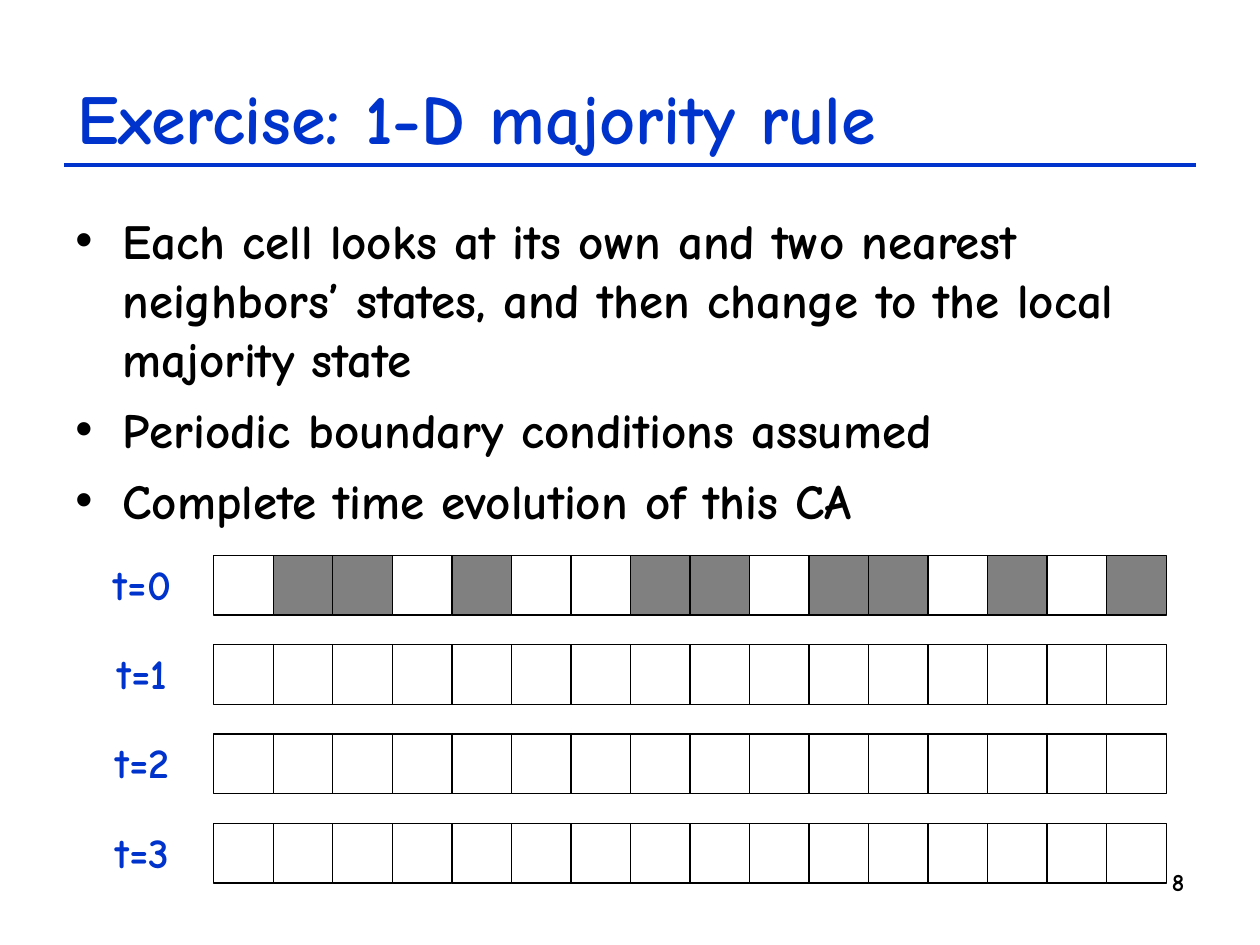
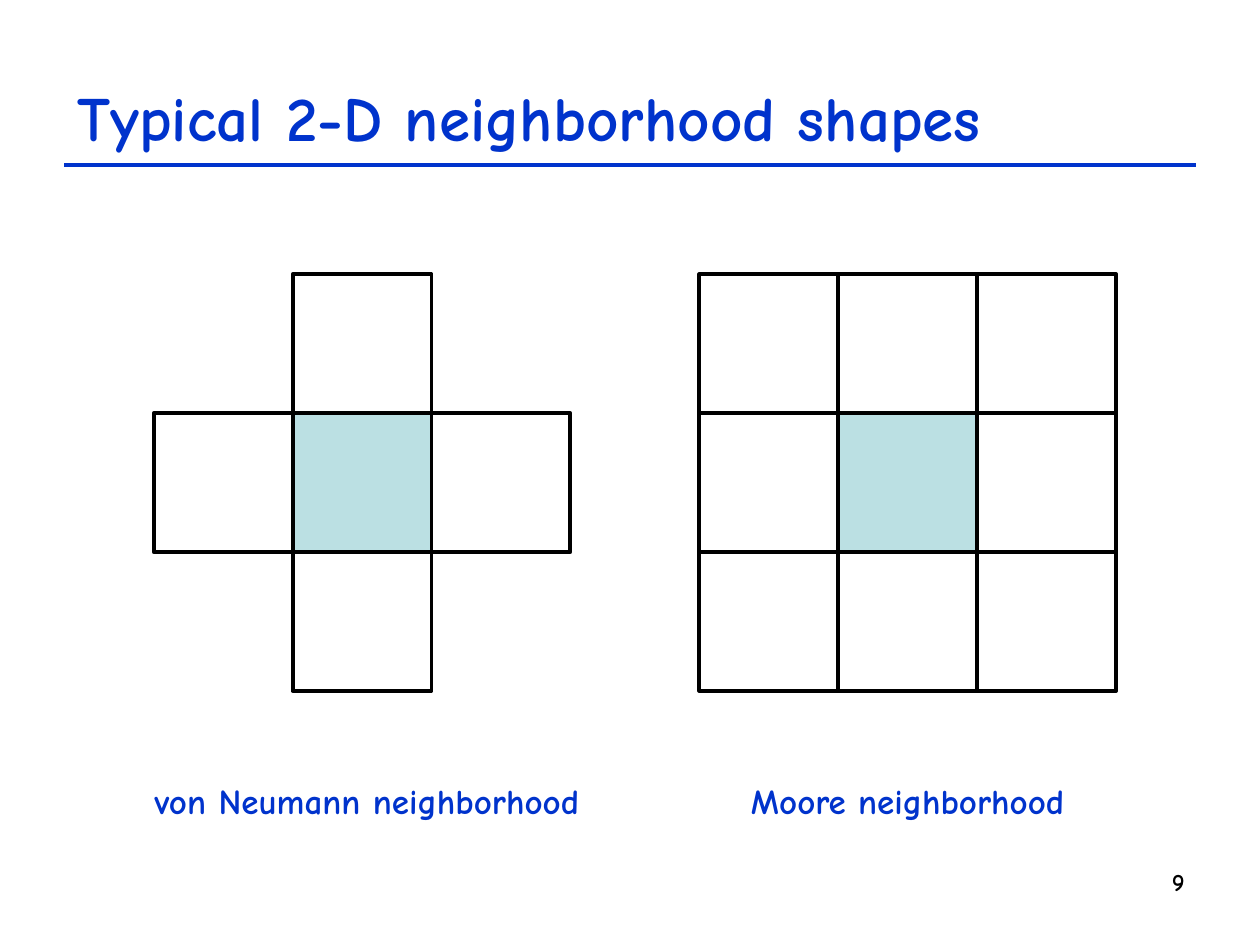
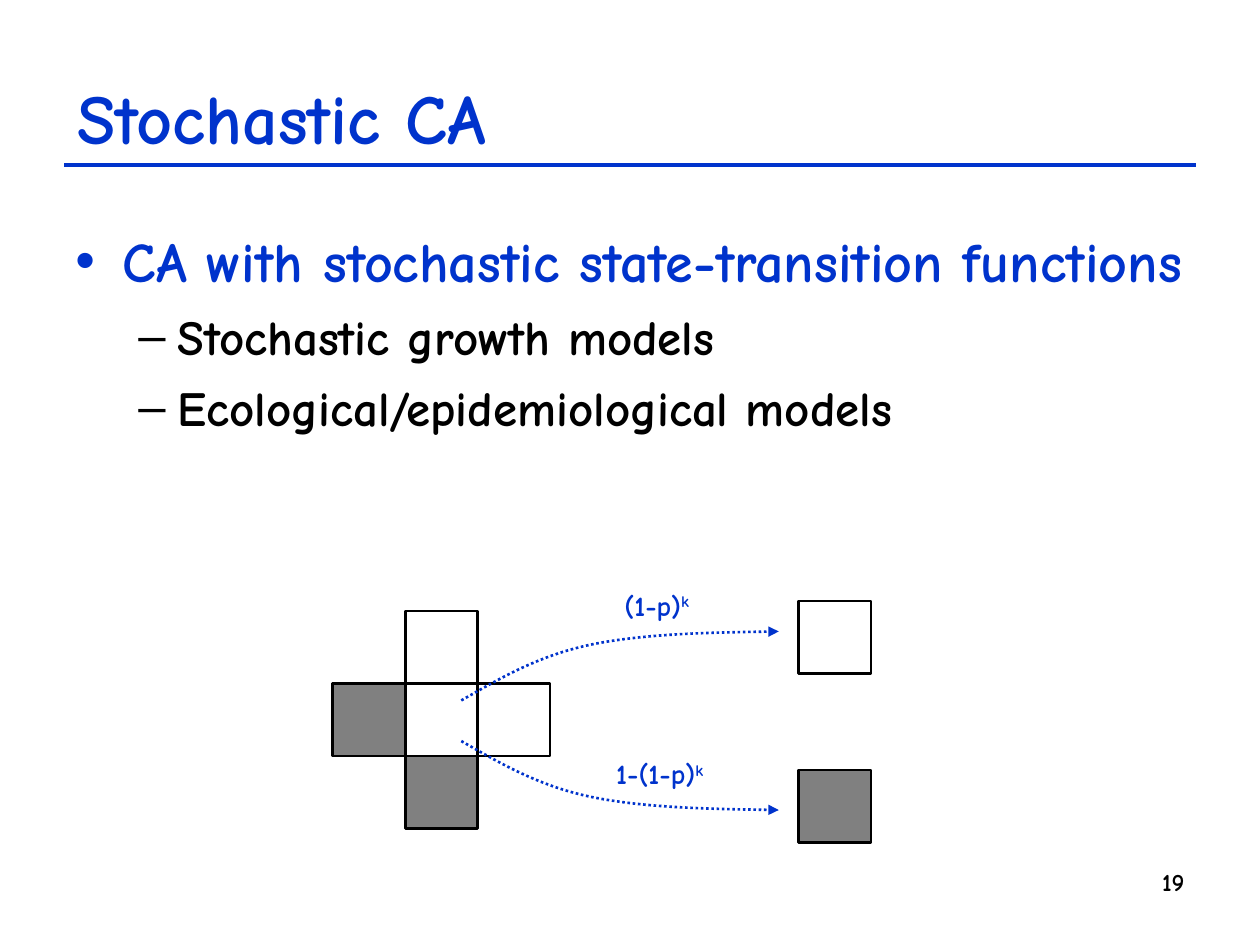
from dataclasses import dataclass

from lxml import etree
from pptx import Presentation
from pptx import util as u
from pptx.dml.color import RGBColor
from pptx.enum import dml, shapes, text
from pptx.oxml.ns import qn

FONT = "Comic Neue"
BULLET_FONT = "Arial"
COLORS = {"blue": "0033CC", "black": "000000", "white": "FFFFFF", "gray": "808080", "teal": "BBE0E3"}
CELL_FILLS = {"W": "white", "G": "gray", "T": "teal"}  # any other letter leaves a gap
LEFT, CENTER, RIGHT = text.PP_ALIGN.LEFT, text.PP_ALIGN.CENTER, text.PP_ALIGN.RIGHT


@dataclass(frozen=True)
class Area:
    """A rectangle in centimetres."""
    left: float
    top: float
    width: float
    height: float


@dataclass(frozen=True)
class Level:
    """The look of one outline level."""
    bullet: str
    indent: float
    hang: float


@dataclass(frozen=True)
class Point:
    wording: str
    level: Level
    size: int = 28
    color: str = "black"


@dataclass(frozen=True)
class Grid:
    """Square cells, one string per row and one letter per cell."""
    rows: tuple[str, ...]
    left: float
    top: float
    cell: float
    weight: float


TITLE = Area(1.31, 0.76, 22.83, 3.18)
NUMBER = Area(21.7, 17.35, 2.43, 1.32)
MAIN = Level("•", 0.95, 0.95)
SUB = Level("–", 2.06, 0.79)


def rgb(name: str) -> RGBColor:
    return RGBColor.from_string(COLORS[name])


# Text
def write(para, wording: str, *, size: int, color: str = "blue", align=LEFT, raised: bool = False) -> None:
    para.alignment = align
    span = para.add_run()
    span.text = wording
    span.font.name, span.font.size, span.font.bold = FONT, u.Pt(size), True
    span.font.color.rgb = rgb(color)
    if raised:
        span._r.get_or_add_rPr().set("baseline", "30000")


def add_frame(page, area: Area, anchor=text.MSO_ANCHOR.TOP):
    box = page.shapes.add_textbox(u.Cm(area.left), u.Cm(area.top), u.Cm(area.width), u.Cm(area.height))
    box.text_frame.word_wrap = True
    box.text_frame.vertical_anchor = anchor
    return box.text_frame


def add_label(page, wording: str, area: Area, size: int, exponent: str = "") -> None:
    """Write one centred line that never wraps."""
    frame = add_frame(page, area)
    frame.word_wrap = False
    frame.auto_size = text.MSO_AUTO_SIZE.SHAPE_TO_FIT_TEXT
    para = frame.paragraphs[0]
    write(para, wording, size=size, align=CENTER)
    if exponent:
        write(para, exponent, size=size, align=CENTER, raised=True)


def add_points(page, points: list[Point], top: float) -> None:
    frame = add_frame(page, Area(1.27, top, 22.86, 12.57))
    for index, point in enumerate(points):
        para = frame.add_paragraph() if index else frame.paragraphs[0]
        props = para._p.get_or_add_pPr()
        props.set("marL", str(u.Cm(point.level.indent)))
        props.set("indent", str(-u.Cm(point.level.hang)))
        tint = etree.SubElement(props, qn("a:buClr"))
        etree.SubElement(tint, qn("a:srgbClr"), val=COLORS[point.color])
        etree.SubElement(props, qn("a:buFont"), typeface=BULLET_FONT)
        etree.SubElement(props, qn("a:buChar"), char=point.level.bullet)
        if index:
            para.space_before = u.Pt(7)
        write(para, point.wording, size=point.size, color=point.color)


# Drawing
def add_grid(page, grid: Grid) -> None:
    side = u.Cm(grid.cell)
    for row, letters in enumerate(grid.rows):
        for column, letter in enumerate(letters):
            if letter not in CELL_FILLS:
                continue
            cell = page.shapes.add_shape(
                shapes.MSO_SHAPE.RECTANGLE,
                u.Cm(grid.left + column * grid.cell), u.Cm(grid.top + row * grid.cell), side, side)
            cell.shadow.inherit = False
            cell.fill.solid()
            cell.fill.fore_color.rgb = rgb(CELL_FILLS[letter])
            cell.line.color.rgb = rgb("black")
            cell.line.width = u.Pt(grid.weight)


def add_curved_arrow(page, left: float, top: float, direction: int) -> None:
    """Draw a dotted arrow bending up (-1) or down (1) to the right."""
    offsets = [(0.76, 0.43), (1.52, 0.89), (2.59, 1.12), (3.65, 1.34), (5.03, 1.37), (6.4, 1.39)]
    builder = page.shapes.build_freeform(u.Cm(left), u.Cm(top))
    builder.add_line_segments(
        [(u.Cm(left + x), u.Cm(top + direction * y)) for x, y in offsets], close=False)
    arrow = builder.convert_to_shape()
    arrow.shadow.inherit = False
    arrow.fill.background()
    arrow.line.color.rgb = rgb("blue")
    arrow.line.width = u.Pt(1.5)
    arrow.line.dash_style = dml.MSO_LINE.ROUND_DOT
    etree.SubElement(arrow.line._get_or_add_ln(), qn("a:tailEnd"), type="triangle")
    # Every three straight segments become one Bézier segment
    segments = list(arrow._element.iter(qn("a:lnTo")))
    for start in range(0, len(segments), 3):
        curve = etree.Element(qn("a:cubicBezTo"))
        segments[start].addprevious(curve)
        for segment in segments[start:start + 3]:
            curve.append(segment[0])
            segment.getparent().remove(segment)


# Shared slide frame
def add_page(deck, title: str, number: int, title_size: int = 40):
    page = deck.slides.add_slide(deck.slide_layouts[6])
    rule = page.shapes.add_connector(
        shapes.MSO_CONNECTOR.STRAIGHT, u.Cm(1.3), u.Cm(3.33), u.Cm(24.1), u.Cm(3.33))
    rule.line.color.rgb = rgb("blue")
    rule.line.width = u.Pt(2.25)
    etree.SubElement(rule._element.spPr, qn("a:effectLst"))
    write(add_frame(page, NUMBER).paragraphs[0], str(number), size=14, color="black", align=RIGHT)
    heading = add_frame(page, TITLE, anchor=text.MSO_ANCHOR.MIDDLE)
    write(heading.paragraphs[0], title, size=title_size)
    return page


# Slides
def add_majority_rule(deck) -> None:
    page = add_page(deck, "Exercise: 1-D majority rule", 8)
    add_points(page, [
        Point("Each cell looks at its own and two nearest neighbors’ states, "
              "and then change to the local majority state", MAIN),
        Point("Periodic boundary conditions assumed", MAIN),
        Point("Complete time evolution of this CA", MAIN),
    ], top=4.12)
    states = ["WGGWGWWGGWGGWGWG"] + ["W" * 16] * 3
    for time, state in enumerate(states):
        top = 11.2 + 1.8 * time
        add_label(page, f"t={time}", Area(2.0, top - 0.07, 1.75, 1.27), size=24)
        add_grid(page, Grid((state,), 4.31, top, 1.2, 0.75))


def add_neighborhoods(deck) -> None:
    page = add_page(deck, "Typical 2-D neighborhood shapes", 9, title_size=36)
    add_label(page, "von Neumann neighborhood", Area(2.8, 15.59, 9.2, 1.12), size=20)
    add_label(page, "Moore neighborhood", Area(14.8, 15.59, 7.0, 1.12), size=20)
    add_grid(page, Grid((".W.", "WTW", ".W."), 3.1, 5.53, 2.8, 2.25))
    add_grid(page, Grid(("WWW", "WTW", "WWW"), 14.1, 5.53, 2.8, 2.25))


def add_stochastic(deck) -> None:
    page = add_page(deck, "Stochastic CA", 19)
    add_points(page, [
        Point("CA with stochastic state-transition functions", MAIN, size=32, color="blue"),
        Point("Stochastic growth models", SUB),
        Point("Ecological/epidemiological models", SUB),
    ], top=4.45)
    add_grid(page, Grid((".W.", "GWW", ".G."), 6.71, 12.32, 1.46, 1.5))
    for state, top in (("W", 12.12), ("G", 15.52)):
        add_grid(page, Grid((state,), 16.1, top, 1.46, 1.5))
    add_curved_arrow(page, 9.3, 14.12, direction=-1)
    add_curved_arrow(page, 9.3, 14.94, direction=1)
    add_label(page, "1-(1-p)", Area(12.1, 15.13, 2.4, 0.94), size=16, exponent="k")
    add_label(page, "(1-p)", Area(12.24, 11.73, 2.0, 0.94), size=16, exponent="k")


def main() -> None:
    deck = Presentation()
    deck.slide_width, deck.slide_height = u.Cm(25.4), u.Cm(19.05)
    add_majority_rule(deck)
    add_neighborhoods(deck)
    add_stochastic(deck)
    deck.save("out.pptx")


if __name__ == "__main__":
    main()
